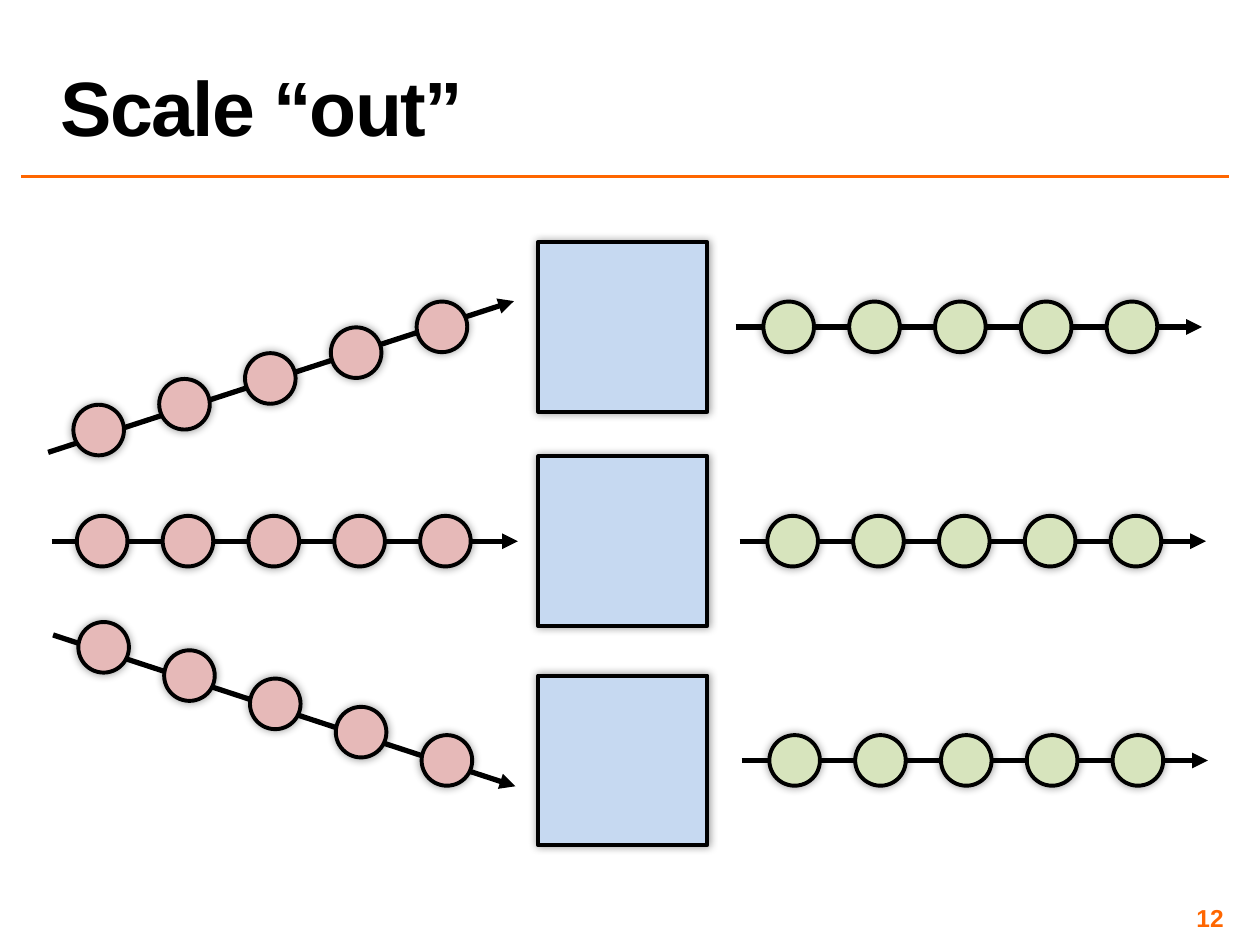
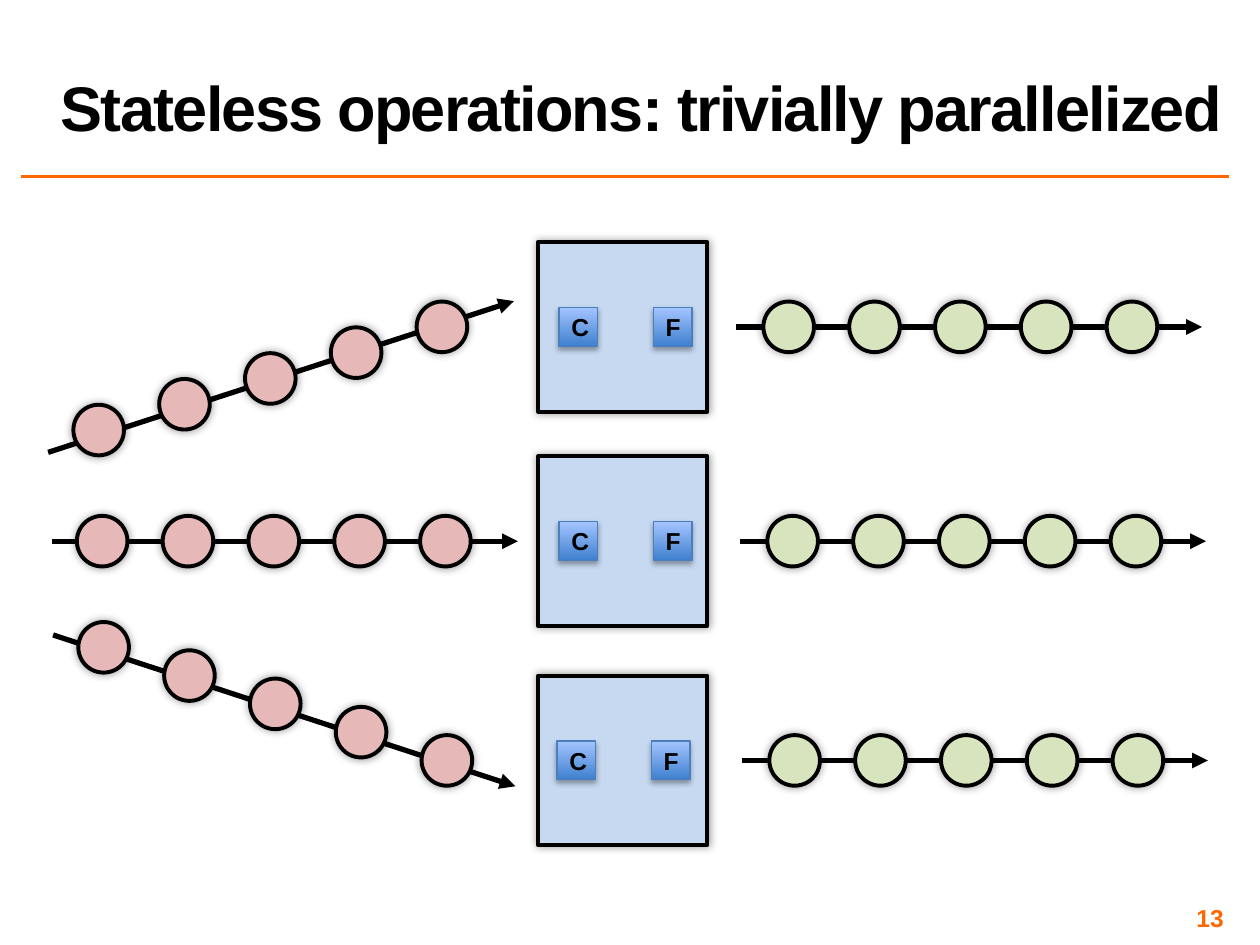
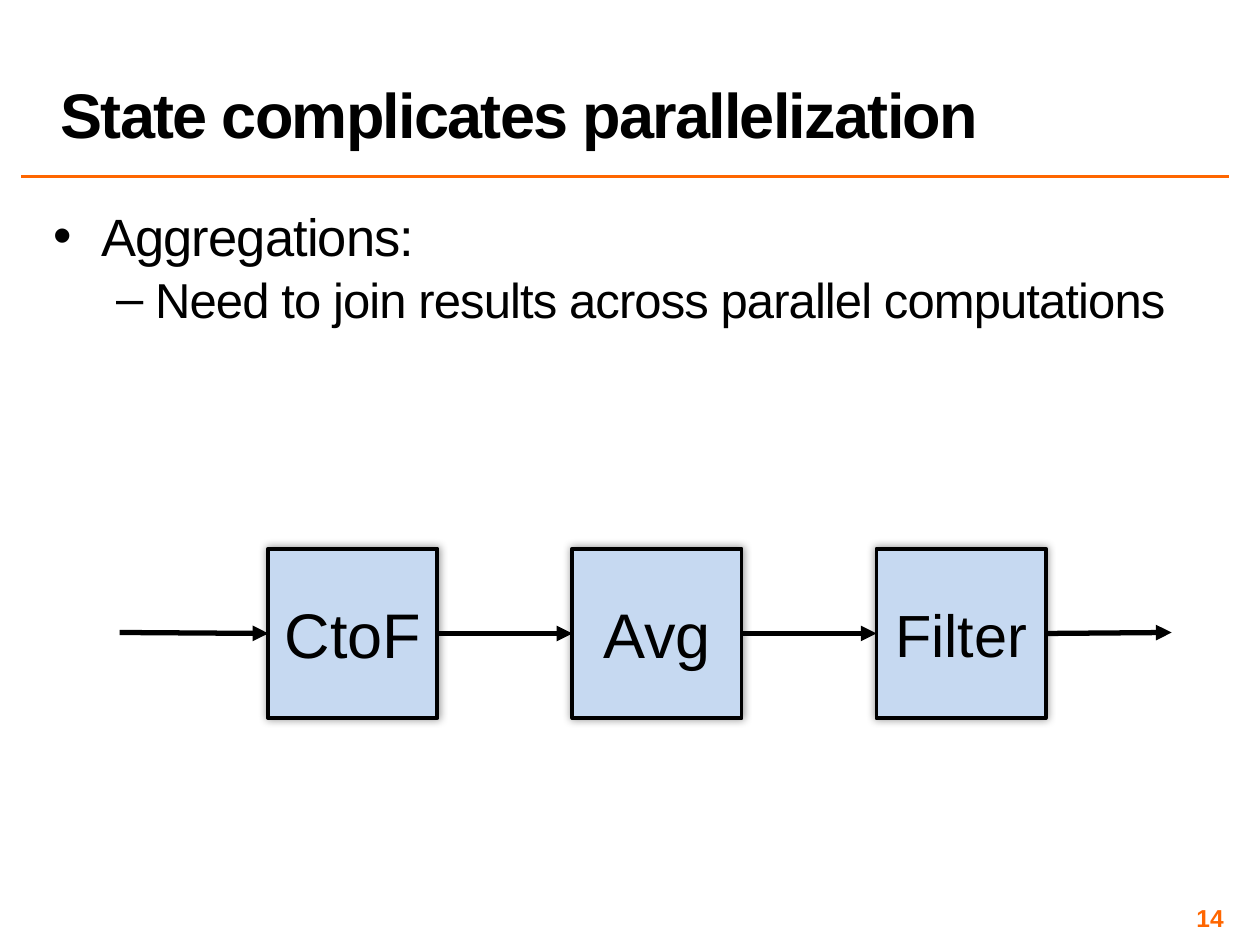
"""Build three slides on scaling out stream processing."""
from dataclasses import dataclass
from typing import NamedTuple, Optional

from lxml import etree
from pptx import Presentation
from pptx import util as u
from pptx.dml import color as dml
from pptx.enum import shapes, text
from pptx.oxml import ns


class Point(NamedTuple):
    x: float
    y: float


class Area(NamedTuple):
    left: float
    top: float
    width: float
    height: float


class Glow(NamedTuple):
    opacity: int
    blur: float
    distance: float


@dataclass(frozen=True)
class Theme:
    font: str = "Arial"
    ink: str = "000000"
    accent: str = "FF6600"
    machine: str = "C6D9F1"
    incoming: str = "E6B9B8"
    outgoing: str = "D7E4BD"
    operator_low: str = "3F80CE"
    operator_high: str = "A4C4FF"
    operator_edge: str = "4B7EBC"
    title_size: int = 44
    long_title_size: int = 36
    bullet_size: int = 30
    sub_bullet_size: int = 28
    stage_size: int = 36
    small_stage_size: int = 34
    label_size: int = 14
    outline: float = 2.25
    arrow: float = 3
    soft: Glow = Glow(40, 5, 0)
    raised: Glow = Glow(35, 3.1, 1.8)


@dataclass(frozen=True)
class Lane:
    axis: float
    in_start: Point
    in_end: Point
    rise: float
    out_start: float
    operator_left: float


@dataclass(frozen=True)
class Bullet:
    words: str
    mark: str
    margin: float
    hang: float
    size: int
    before: float
    spacing: Optional[float] = None


class Stage(NamedTuple):
    words: str
    size: int


THEME = Theme()
TITLE_AREA = Area(0.97, 0.2, 23.8, 2.97)
WIDE_TITLE_AREA = Area(0.97, 0.05, 24.43, 2.97)
BODY_AREA = Area(0.97, 4.01, 23.8, 13.97)
NUMBER_AREA = Area(18.85, 18.21, 5.92, 0.58)
INSET = 0.1

MACHINE_WIDTH, MACHINE_HEIGHT = 3.41, 3.42
MACHINE_LEFT = 10.85
BEAD, BEAD_STEP, BEAD_COUNT = 1.02, 1.73, 5
IN_OFFSET, OUT_OFFSET = 0.51, 0.56
OUT_LENGTH = 9.4
OPERATOR, OPERATOR_STEP = 0.78, 1.9

LANES = (
    Lane(6.59, Point(0.97, 9.12), Point(10.36, 6.07), -0.52, 14.83, 11.27),
    Lane(15.33, Point(1.07, 12.8), Point(10.39, 15.85), 0.57, 14.95, 11.23),
    Lane(10.91, Point(1.04, 10.91), Point(10.44, 10.91), 0, 14.91, 11.27),
)
BULLETS = (
    Bullet("Aggregations:", "•", 0.97, 0.97, THEME.bullet_size, 0),
    Bullet("Need to join results across parallel computations", "–",
           2.06, 0.79, THEME.sub_bullet_size, 8, 0.8),
)
STAGES = (
    Stage("CtoF", THEME.stage_size),
    Stage("Avg", THEME.stage_size),
    Stage("Filter", THEME.small_stage_size),
)
STAGE_LEFT, STAGE_STEP, STAGE_TOP = 5.41, 6.13, 11.06
FLOW_START, FLOW_END = Point(2.41, 12.75), Point(23.62, 12.75)


def rgb(value: str) -> dml.RGBColor:
    return dml.RGBColor.from_string(value)


def lengths(area: Area) -> list:
    return [u.Cm(value) for value in area]


def style_para(para, size: int, colour: str = THEME.ink, bold: bool = False,
               tracking: float = 0) -> None:
    font = para.font
    font.name, font.size, font.bold = THEME.font, u.Pt(size), bold
    font.color.rgb = rgb(colour)
    if tracking:
        properties = para._p.pPr.find(ns.qn("a:defRPr"))
        properties.set("spc", str(round(tracking * 100)))


def add_glow(shape, glow: Glow) -> None:
    shape.shadow.inherit = False
    effects = shape._element.spPr.find(ns.qn("a:effectLst"))
    shadow = etree.SubElement(
        effects, ns.qn("a:outerShdw"), blurRad=str(u.Pt(glow.blur)),
        dist=str(u.Pt(glow.distance)), dir="5400000", rotWithShape="0")
    black = etree.SubElement(shadow, ns.qn("a:srgbClr"), val=THEME.ink)
    etree.SubElement(black, ns.qn("a:alpha"), val=str(glow.opacity * 1000))


def draw_line(page, start: Point, end: Point, colour: str, width: float):
    line = page.shapes.add_connector(
        shapes.MSO_CONNECTOR.STRAIGHT, *lengths(start), *lengths(end))
    line.line.color.rgb = rgb(colour)
    line.line.width = u.Pt(width)
    etree.SubElement(line._element.spPr, ns.qn("a:effectLst"))
    return line


def draw_arrow(page, start: Point, end: Point):
    arrow = draw_line(page, start, end, THEME.ink, THEME.arrow)
    outline = arrow._element.spPr.find(ns.qn("a:ln"))
    etree.SubElement(outline, ns.qn("a:tailEnd"), type="triangle")
    return arrow


def draw_shape(page, kind, area: Area, fill: str):
    shape = page.shapes.add_shape(kind, *lengths(area))
    shape.fill.solid()
    shape.fill.fore_color.rgb = rgb(fill)
    shape.line.color.rgb = rgb(THEME.ink)
    shape.line.width = u.Pt(THEME.outline)
    add_glow(shape, THEME.soft)
    return shape


def label_shape(shape, words: str, size: int, bold: bool = False) -> None:
    frame = shape.text_frame
    frame.word_wrap = True
    frame.vertical_anchor = text.MSO_ANCHOR.MIDDLE
    para = frame.paragraphs[0]
    para.text = words
    para.alignment = text.PP_ALIGN.CENTER
    style_para(para, size, bold=bold)


def draw_machine(page, left: float, top: float):
    area = Area(left, top, MACHINE_WIDTH, MACHINE_HEIGHT)
    return draw_shape(page, shapes.MSO_SHAPE.RECTANGLE, area, THEME.machine)


def draw_beads(page, left: float, last_centre: float, rise: float, fill: str) -> None:
    for index in range(BEAD_COUNT):
        centre = last_centre - rise * (BEAD_COUNT - 1 - index)
        area = Area(left + index * BEAD_STEP, centre - BEAD / 2, BEAD, BEAD)
        draw_shape(page, shapes.MSO_SHAPE.OVAL, area, fill)


def draw_lane(page, lane: Lane) -> None:
    draw_arrow(page, lane.in_start, lane.in_end)
    draw_arrow(page, Point(lane.out_start, lane.axis),
               Point(lane.out_start + OUT_LENGTH, lane.axis))
    draw_machine(page, MACHINE_LEFT, lane.axis - MACHINE_HEIGHT / 2)
    draw_beads(page, lane.in_start.x + IN_OFFSET, lane.axis, lane.rise, THEME.incoming)
    draw_beads(page, lane.out_start + OUT_OFFSET, lane.axis, 0, THEME.outgoing)


def draw_operators(page, lane: Lane) -> None:
    for index, letter in enumerate("CF"):
        area = Area(lane.operator_left + index * OPERATOR_STEP,
                    lane.axis - OPERATOR / 2, OPERATOR, OPERATOR)
        box = page.shapes.add_shape(shapes.MSO_SHAPE.RECTANGLE, *lengths(area))
        box.fill.gradient()
        box.fill.gradient_angle = 90
        for stop, colour in zip(box.fill.gradient_stops,
                                (THEME.operator_low, THEME.operator_high)):
            stop.color.rgb = rgb(colour)
        box.line.color.rgb = rgb(THEME.operator_edge)
        box.line.width = u.Pt(0.75)
        add_glow(box, THEME.raised)
        label_shape(box, letter, THEME.label_size, bold=True)


def add_text_box(page, area: Area):
    frame = page.shapes.add_textbox(*lengths(area)).text_frame
    frame.word_wrap = True
    frame.margin_left = frame.margin_right = u.Cm(INSET)
    frame.margin_top = frame.margin_bottom = u.Cm(INSET)
    return frame


def add_bullets(page, bullets: tuple) -> None:
    frame = add_text_box(page, BODY_AREA)
    for index, bullet in enumerate(bullets):
        para = frame.add_paragraph() if index else frame.paragraphs[0]
        para.text = bullet.words
        para.level = index
        properties = para._p.get_or_add_pPr()
        properties.set("marL", str(u.Cm(bullet.margin)))
        properties.set("indent", str(-u.Cm(bullet.hang)))
        etree.SubElement(properties, ns.qn("a:buFont"), typeface=THEME.font)
        etree.SubElement(properties, ns.qn("a:buChar"), char=bullet.mark)
        para.space_before = u.Pt(bullet.before)
        if bullet.spacing:
            para.line_spacing = bullet.spacing
        style_para(para, bullet.size, tracking=-0.5)


def add_page(deck, number: int, title: str, size: int, area: Area = TITLE_AREA):
    page = deck.slides.add_slide(deck.slide_layouts[5])
    box = page.shapes.title
    box.left, box.top, box.width, box.height = lengths(area)
    frame = box.text_frame
    frame.word_wrap = True
    frame.auto_size = text.MSO_AUTO_SIZE.NONE
    frame.vertical_anchor = text.MSO_ANCHOR.BOTTOM
    para = frame.paragraphs[0]
    para.text = title
    para.alignment = text.PP_ALIGN.LEFT
    para.line_spacing = 0.8
    style_para(para, size, bold=True, tracking=-1)

    frame = add_text_box(page, NUMBER_AREA)
    frame.vertical_anchor = text.MSO_ANCHOR.MIDDLE
    para = frame.paragraphs[0]
    para.text = str(number)
    para.alignment = text.PP_ALIGN.RIGHT
    style_para(para, THEME.label_size, THEME.accent, bold=True)
    return page


def add_layout_rule(page) -> None:
    rule = draw_line(page, Point(0.43, 3.56), Point(24.77, 3.56), THEME.accent, 2)
    page.slide_layout.shapes.element.append(rule._element)


def draw_pipeline(page) -> None:
    boxes = []
    for index, stage in enumerate(STAGES):
        box = draw_machine(page, STAGE_LEFT + index * STAGE_STEP, STAGE_TOP)
        label_shape(box, stage.words, stage.size)
        boxes.append(box)
    for source, target in zip([None] + boxes, boxes + [None]):
        arrow = draw_arrow(page, FLOW_START, FLOW_END)
        if source:
            arrow.begin_connect(source, 3)
        if target:
            arrow.end_connect(target, 1)


def main() -> None:
    deck = Presentation()
    deck.slide_width, deck.slide_height = u.Cm(25.4), u.Cm(19.05)

    scale_page = add_page(deck, 12, "Scale “out”", THEME.title_size)
    add_layout_rule(scale_page)
    stateless_page = add_page(deck, 13, "Stateless operations: trivially parallelized",
                              THEME.long_title_size, WIDE_TITLE_AREA)
    for page in (scale_page, stateless_page):
        for lane in LANES:
            draw_lane(page, lane)
    for lane in LANES:
        draw_operators(stateless_page, lane)

    state_page = add_page(deck, 14, "State complicates parallelization",
                          THEME.long_title_size)
    add_bullets(state_page, BULLETS)
    draw_pipeline(state_page)

    deck.save("out.pptx")


if __name__ == "__main__":
    main()
